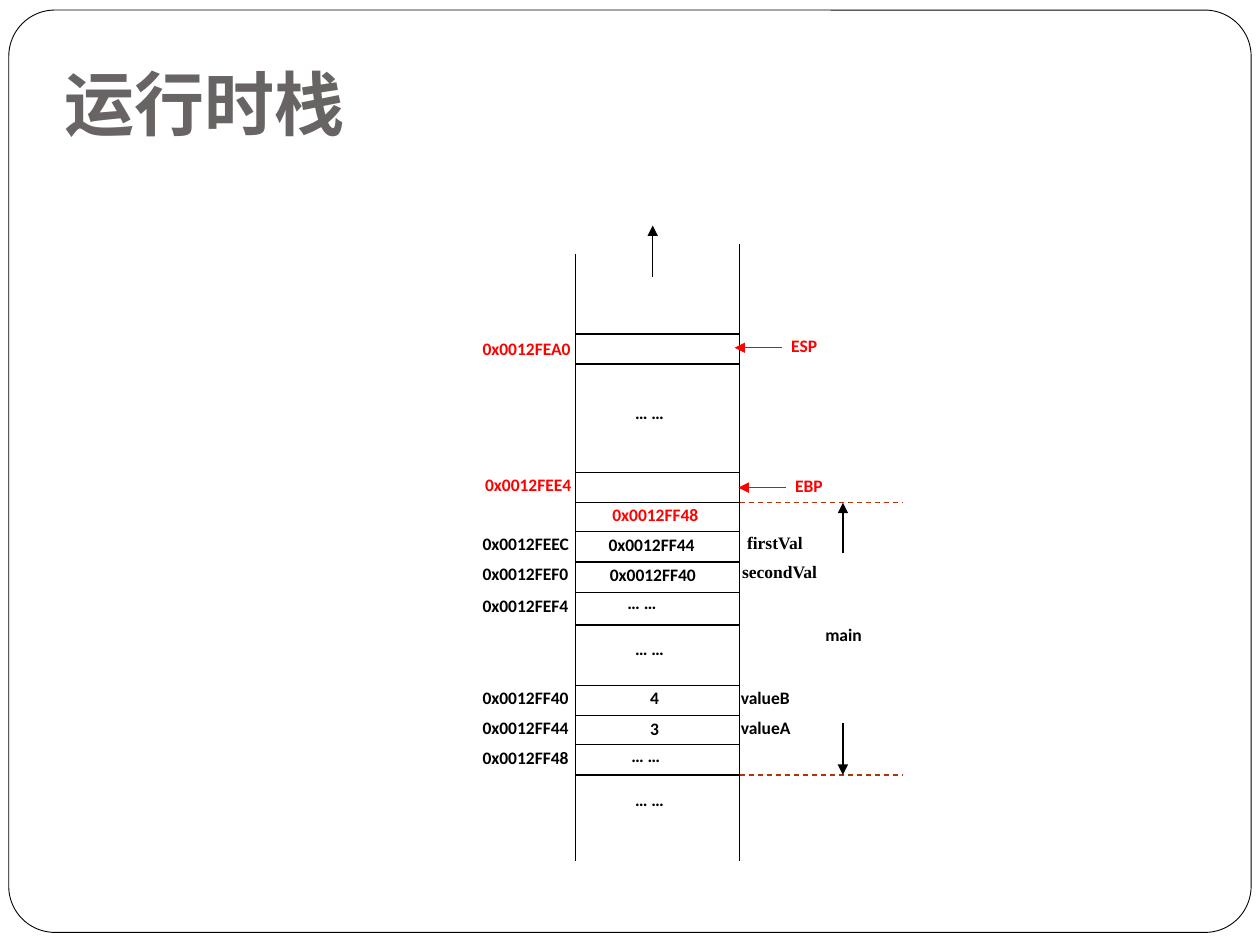
from lxml.etree import SubElement
from pptx import Presentation
from pptx.dml.color import RGBColor
from pptx.enum.dml import MSO_LINE
from pptx.enum.shapes import MSO_CONNECTOR, MSO_SHAPE
from pptx.enum.text import MSO_ANCHOR, MSO_AUTO_SIZE, PP_ALIGN
from pptx.oxml.ns import qn
from pptx.util import Emu, Pt

SCALE = 9144  # 100 px to the inch
BLACK, RED, RUST, GRAY, WHITE = "000000", "FF0000", "AF3408", "696464", "FFFFFF"
DOTS = "… …"


def px(n):
    return Emu(n * SCALE)


def paint(color, tone):
    color.rgb = RGBColor.from_string(tone)


def write(frame, text, size, tone, font, align):
    para = frame.paragraphs[0]
    para.alignment = align
    run = para.add_run()
    run.text = text
    run.font.name = font
    run.font.size = Pt(size)
    run.font.bold = True
    paint(run.font.color, tone)


def inset(frame, left, top, right, bottom):
    frame.margin_left, frame.margin_top = px(left), px(top)
    frame.margin_right, frame.margin_bottom = px(right), px(bottom)
    frame.word_wrap = True
    frame.auto_size = MSO_AUTO_SIZE.NONE


def label(slide, text, x, y, w, tone=BLACK, font="Calibri"):
    box = slide.shapes.add_textbox(px(x), px(y), px(w), px(25))
    inset(box.text_frame, 2, 1, 2, 1)
    write(box.text_frame, text, 10, tone, font, PP_ALIGN.JUSTIFY)


def line(slide, x1, y1, x2, y2, tone=BLACK, arrow=False, dash=False):
    link = slide.shapes.add_connector(
        MSO_CONNECTOR.STRAIGHT, px(x1), px(y1), px(x2), px(y2))
    link.line.width = Pt(0.75)
    paint(link.line.color, tone)
    if dash:
        link.line.dash_style = MSO_LINE.DASH
    if arrow:
        SubElement(link.line._get_or_add_ln(), qn("a:tailEnd"), type="triangle")
    SubElement(link.element.spPr, qn("a:effectLst"))


def border(slide, x, y, w, h):
    shape = slide.shapes.add_shape(
        MSO_SHAPE.ROUNDED_RECTANGLE, px(x), px(y), px(w), px(h))
    shape.adjustments[0] = 0.05
    shape.shadow.inherit = False
    shape.fill.solid()
    paint(shape.fill.fore_color, WHITE)
    paint(shape.line.color, BLACK)
    shape.line.width = Pt(0.5)
    slide.shapes.title.element.addprevious(shape.element)


def heading(slide, text, x, y, w, h):
    title = slide.shapes.title
    title.left, title.top, title.width, title.height = map(px, (x, y, w, h))
    frame = title.text_frame
    inset(frame, 10, 5, 10, 10)
    frame.vertical_anchor = MSO_ANCHOR.BOTTOM
    write(frame, text, 40, GRAY, "Cabin", PP_ALIGN.LEFT)


def stack(slide, x, y, w, h):
    # Walls and direction of growth
    line(slide, x, y + 23, x, y + h)
    line(slide, x + w, y + 15, x + w, y + h)
    line(slide, x + 61, y + 41, x + 61, y, arrow=True)

    # Cell borders
    for top in (86, 110, 196, 220, 243, 267, 291, 317, 365, 389, 412, 436):
        line(slide, x, y + top, x + w, y + top)

    # Cell contents
    for text, left, top, tone in (
        (DOTS, 45, 139, BLACK), ("0x0012FF48", 27, 220, RED),
        ("0x0012FF44", 24, 244, BLACK), ("0x0012FF40", 25, 268, BLACK),
        (DOTS, 39, 290, BLACK), (DOTS, 45, 326, BLACK),
        ("4", 57, 365, BLACK), ("3", 57, 390, BLACK),
        (DOTS, 42, 411, BLACK), (DOTS, 45, 446, BLACK),
    ):
        label(slide, text, x + left, y + top, 85, tone)

    # Addresses
    for text, left, top, tone in (
        ("0x0012FEA0", -76, 88, RED), ("0x0012FEE4", -74, 196, RED),
        ("0x0012FEEC", -76, 243, BLACK), ("0x0012FEF0", -76, 267, BLACK),
        ("0x0012FEF4", -76, 292, BLACK), ("0x0012FF40", -76, 365, BLACK),
        ("0x0012FF44", -76, 389, BLACK), ("0x0012FF48", -76, 413, BLACK),
    ):
        label(slide, text, x + left, y + top, 85, tone)


def names(slide, x, y):
    # Registers
    for text, left, top in (("ESP", -3, 97), ("EBP", 0, 208)):
        line(slide, x + left + 37, y + top, x + left - 1, y + top, RED, arrow=True)
        label(slide, text, x + left + 42, y + top - 11, 30, RED)

    # Variables
    label(slide, "firstVal", x + 4, y + 242, 73, font="Times New Roman")
    label(slide, "secondVal", x, y + 265, 73, font="Times New Roman")
    label(slide, "valueB", x - 1, y + 365, 53)
    label(slide, "valueA", x - 1, y + 389, 53)

    # Extent of main
    for edge, start in ((220, 260), (436, 395)):
        line(slide, x, y + edge, x + 129, y + edge, RUST, dash=True)
        line(slide, x + 82, y + start, x + 82, y + edge, arrow=True)
    label(slide, "main", x + 66, y + 315, 53)


def main():
    deck = Presentation()
    deck.slide_width, deck.slide_height = px(1000), px(750)
    slide = deck.slides.add_slide(deck.slide_layouts[5])
    border(slide, 7, 8, 986, 732)
    heading(slide, "运行时栈", 41, 0, 900, 125)
    stack(slide, 457, 179, 130, 504)
    names(slide, 587, 179)
    deck.save("out.pptx")


if __name__ == "__main__":
    main()
